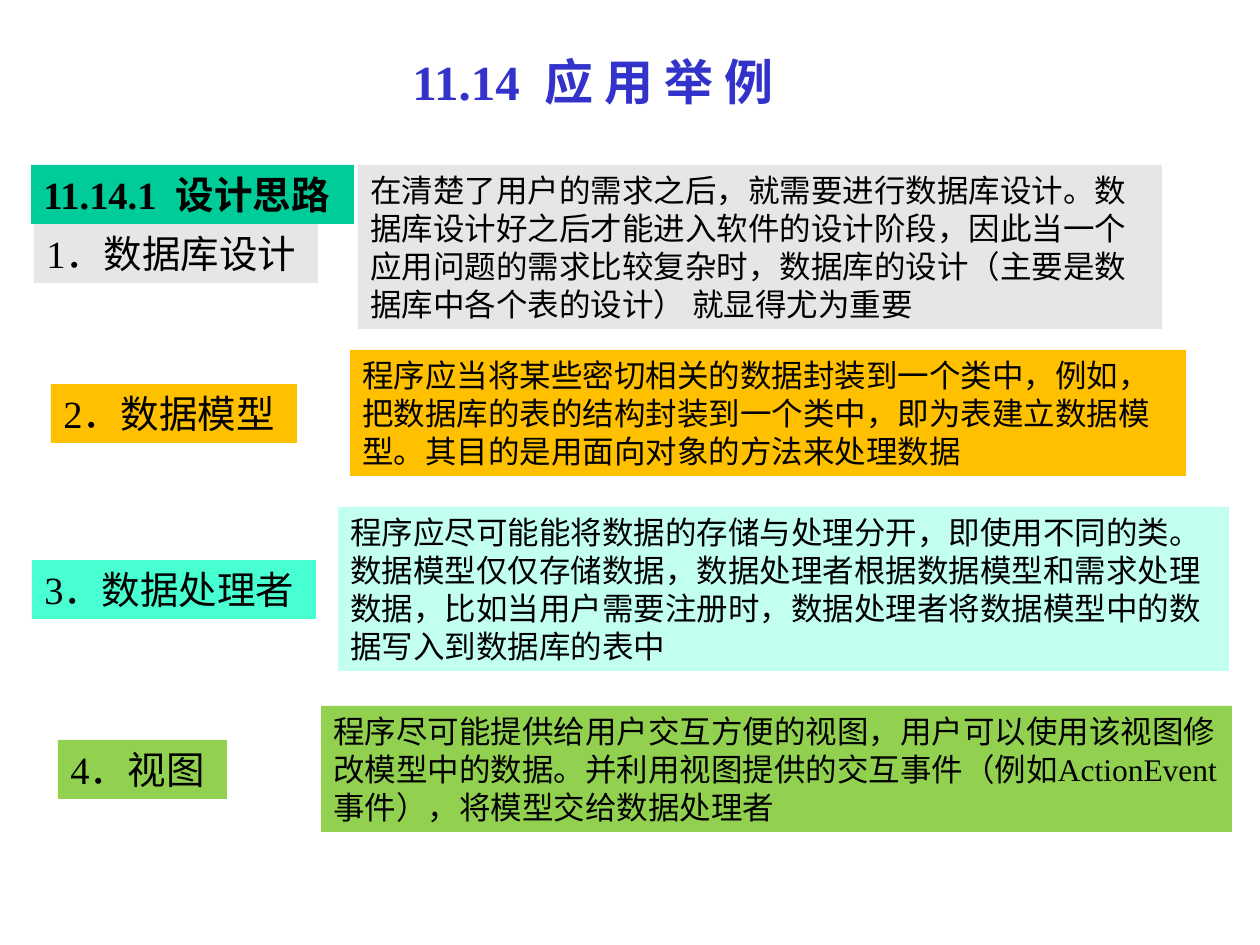
import pptx
import pptx.dml.color
import pptx.enum.shapes
import pptx.enum.text
import pptx.util

RGB = pptx.dml.color.RGBColor
BLACK = RGB(0x00, 0x00, 0x00)
BLUE = RGB(0x33, 0x33, 0xCC)
GREEN = RGB(0x00, 0xCC, 0x99)
GREY = RGB(0xE6, 0xE6, 0xE6)
AMBER = RGB(0xFF, 0xC0, 0x00)
AQUA = RGB(0x47, 0xFF, 0xD1)
PALE_AQUA = RGB(0xC2, 0xFF, 0xF0)
LIME = RGB(0x92, 0xD0, 0x50)

EMU_PER_PX = 914400 / 126
FONT = "Times New Roman"
LABEL_HEIGHT = 59

TOPICS = [
    ("1．数据库设计", (34, 224, 284), GREY,
     "在清楚了用户的需求之后，就需要进行数据库设计。数据库设计好之后才能进入软件的设计阶段，"
     "因此当一个应用问题的需求比较复杂时，数据库的设计（主要是数据库中各个表的设计） 就显得尤为重要",
     (358, 165, 804, 164), GREY),
    ("2．数据模型", (51, 384, 246), AMBER,
     "程序应当将某些密切相关的数据封装到一个类中，例如，把数据库的表的结构封装到一个类中，"
     "即为表建立数据模型。其目的是用面向对象的方法来处理数据",
     (350, 350, 836, 126), AMBER),
    ("3．数据处理者", (32, 560, 284), AQUA,
     "程序应尽可能能将数据的存储与处理分开，即使用不同的类。数据模型仅仅存储数据，"
     "数据处理者根据数据模型和需求处理数据，比如当用户需要注册时，数据处理者将数据模型中的数据写入到数据库的表中",
     (338, 507, 891, 164), PALE_AQUA),
    ("4．视图", (58, 740, 169), LIME,
     "程序尽可能提供给用户交互方便的视图，用户可以使用该视图修改模型中的数据。"
     "并利用视图提供的交互事件（例如ActionEvent事件），将模型交给数据处理者",
     (321, 706, 911, 126), LIME),
]


def px(length):
    return pptx.util.Emu(round(length * EMU_PER_PX))


def write_text(box, text, size=18, color=BLACK, bold=False, wrap=False):
    frame = box.text_frame
    frame.word_wrap = wrap
    frame.auto_size = pptx.enum.text.MSO_AUTO_SIZE.SHAPE_TO_FIT_TEXT
    frame.vertical_anchor = pptx.enum.text.MSO_ANCHOR.TOP
    para = frame.paragraphs[0]
    para.alignment = pptx.enum.text.PP_ALIGN.LEFT
    span = para.add_run()
    span.text = text
    span.font.name = FONT
    span.font.size = pptx.util.Pt(size)
    span.font.bold = bold
    span.font.color.rgb = color


class SlideBuilder:
    """Holds the current slide and draws its titles, labels and descriptions."""

    def __init__(self, slide):
        self.slide = slide

    def title(self, text, place):
        box = self.slide.shapes.add_textbox(*map(px, place))
        write_text(box, text, size=28, color=BLUE, bold=True)

    def panel(self, place, fill):
        box = self.slide.shapes.add_shape(
            pptx.enum.shapes.MSO_SHAPE.RECTANGLE, *map(px, place))
        box.shadow.inherit = False
        box.fill.solid()
        box.fill.fore_color.rgb = fill
        box.line.fill.background()
        return box

    def label(self, text, place, fill, bold=False):
        write_text(self.panel((*place, LABEL_HEIGHT), fill), text, size=22, bold=bold)

    def description(self, text, place, fill):
        write_text(self.panel(place, fill), text, wrap=True)


def main():
    deck = pptx.Presentation()
    deck.slide_width, deck.slide_height = px(1260), px(945)
    page = SlideBuilder(deck.slides.add_slide(deck.slide_layouts[6]))
    page.title("11.14  应 用 举 例", (400, 45, 400, 72))
    page.label("11.14.1  设计思路", (31, 165, 323), GREEN, bold=True)
    for name, label_place, label_fill, text, text_place, text_fill in TOPICS:
        page.label(name, label_place, label_fill)
        page.description(text, text_place, text_fill)
    deck.save("out.pptx")


if __name__ == "__main__":
    main()
